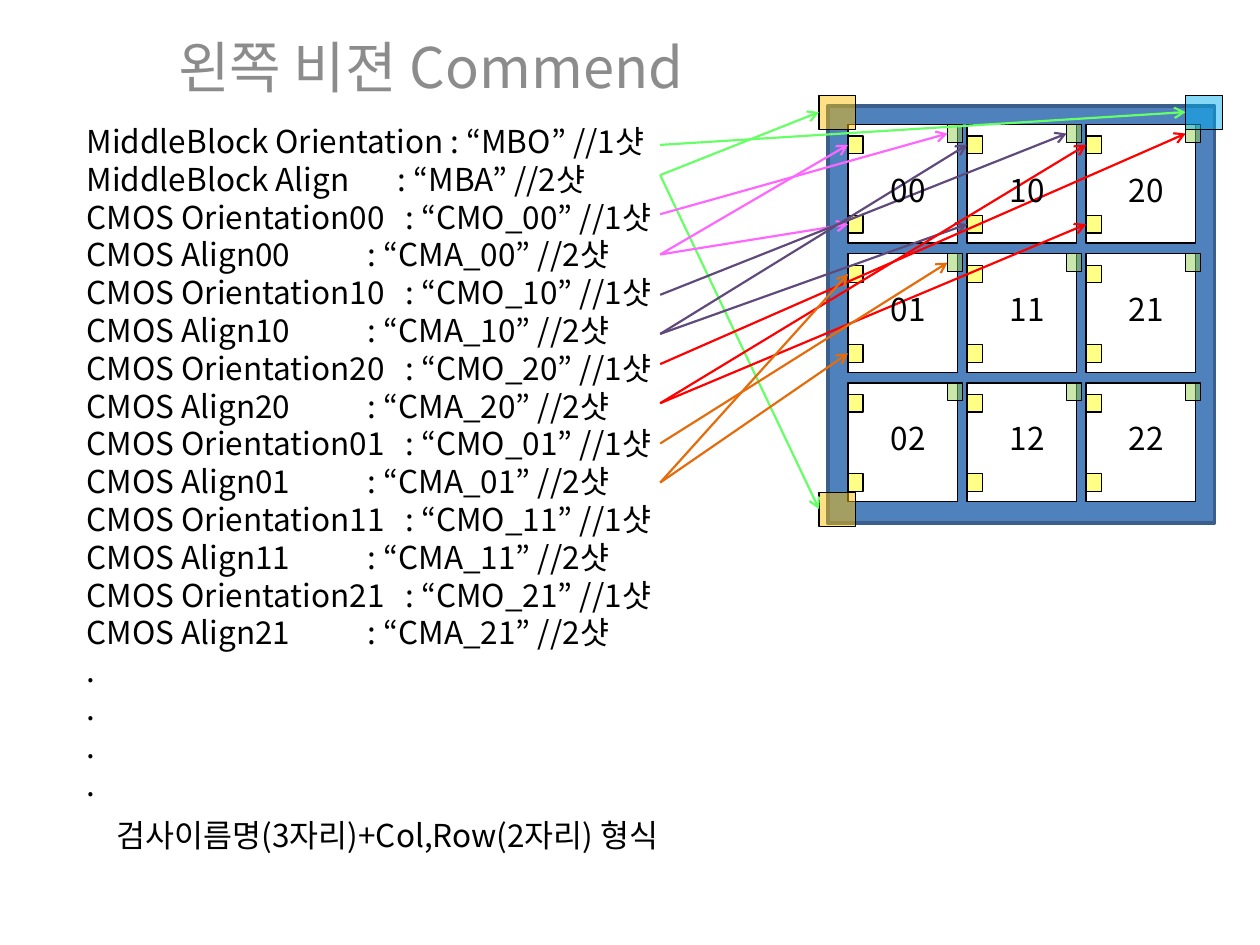
"""Builds the left vision command slide with its block diagram."""
from lxml.etree import SubElement
from pptx import Presentation
from pptx.dml.color import RGBColor
from pptx.enum.shapes import MSO_CONNECTOR, MSO_SHAPE
from pptx.enum.text import MSO_ANCHOR, PP_ALIGN
from pptx.oxml.ns import qn
from pptx.util import Inches, Pt

COLORS = {
    "title": "8C8C8C", "text": "000000", "outline": "000000",
    "block": "4F81BD", "block_edge": "3A5F8C", "cell": "FFFFFF",
    "align_mark": "FFFF00", "orient_mark": "92D050",
    "block_align": "FFC000", "block_orient": "00B0F0",
    "green": "66FF66", "pink": "FF66FF", "purple": "604A7B",
    "red": "FF0000", "orange": "E46C0A",
}


class VisionSlide:
    """Holds the text style and the slide being drawn."""

    font_name = "Noto Sans CJK KR"

    def __init__(self, slide):
        self.slide = slide

    def style(self, paragraph, size, color):
        font = paragraph.font
        font.name = self.font_name
        font.size = Pt(size)
        font.color.rgb = RGBColor.from_string(COLORS[color])
        SubElement(font._element, qn("a:ea"), typeface=self.font_name)
        paragraph.line_spacing = Pt(size * 1.2)

    def title(self, text, left, top, width, height):
        title = self.slide.shapes.title
        title.left, title.top = Inches(left), Inches(top)
        title.width, title.height = Inches(width), Inches(height)
        title.text_frame.text = text
        title.text_frame.vertical_anchor = MSO_ANCHOR.TOP
        heading = title.text_frame.paragraphs[0]
        heading.alignment = PP_ALIGN.CENTER
        self.style(heading, 32, "title")

    def text(self, lines, left, top, width, height, wrap=True):
        frame = self.slide.shapes.add_textbox(
            Inches(left), Inches(top), Inches(width), Inches(height)).text_frame
        frame.word_wrap = wrap
        for index, (line, tab) in enumerate(lines):
            paragraph = frame.paragraphs[0] if index == 0 else frame.add_paragraph()
            paragraph.text = line
            if tab:
                stops = SubElement(paragraph._p.get_or_add_pPr(), qn("a:tabLst"))
                SubElement(stops, qn("a:tab"), pos=str(Inches(tab)), algn="l")
            self.style(paragraph, 18, "text")

    def box(self, fill, left, top, width, height, line="outline", weight=0.75, alpha=None):
        box = self.slide.shapes.add_shape(
            MSO_SHAPE.RECTANGLE, Inches(left), Inches(top), Inches(width), Inches(height))
        box.shadow.inherit = False
        box.fill.solid()
        box.fill.fore_color.rgb = RGBColor.from_string(COLORS[fill])
        box.line.color.rgb = RGBColor.from_string(COLORS[line])
        box.line.width = Pt(weight)
        if alpha:
            color = box._element.spPr.find(qn("a:solidFill"))[0]
            SubElement(color, qn("a:alpha"), val=str(alpha * 1000))

    def arrow(self, color, start, end):
        arrow = self.slide.shapes.add_connector(
            MSO_CONNECTOR.STRAIGHT, *(Inches(value) for value in (*start, *end)))
        arrow.line.color.rgb = RGBColor.from_string(COLORS[color])
        arrow.line.width = Pt(1.25)
        SubElement(arrow.line._get_or_add_ln(), qn("a:tailEnd"), type="arrow")
        SubElement(arrow._element.spPr, qn("a:effectLst"))


def cell_origin(col, row):
    return 6.73 + 0.945 * col, 0.99 + 1.025 * row


presentation = Presentation()
presentation.slide_width, presentation.slide_height = Inches(10), Inches(7.5)
vision = VisionSlide(presentation.slides.add_slide(presentation.slide_layouts[5]))

vision.title("왼쪽 비젼 Commend", 0.35, 0.21, 6.14, 0.71)

commands = [("MiddleBlock Orientation : “MBO” //1샷", None),
            ("MiddleBlock Align\t: “MBA” //2샷", 2.47)]
for cell in ("00", "10", "20", "01", "11", "21"):
    commands += [(f"CMOS Orientation{cell}\t: “CMO_{cell}” //1샷", 2.53),
                 (f"CMOS Align{cell}\t: “CMA_{cell}” //2샷", 2.23)]
commands += [(".", None)] * 4
vision.text(commands, 0.59, 0.92, 4.88, 5.86)

vision.box("block", 6.57, 0.84, 3.07, 3.31, line="block_edge", weight=2)
cells = [(col, row) for row in range(3) for col in range(3)]
for col, row in cells:
    x, y = cell_origin(col, row)
    vision.box("cell", x, y, 0.87, 0.94)
    for fill, dx, dy in (("align_mark", 0, 0.09), ("align_mark", 0, 0.72),
                         ("orient_mark", 0.79, 0)):
        vision.box(fill, x + dx, y + dy, 0.12, 0.14, alpha=48)
for fill, left, top in (("block_align", 6.5, 0.76), ("block_align", 6.5, 3.91),
                        ("block_orient", 9.41, 0.76)):
    vision.box(fill, left, top, 0.29, 0.27, alpha=48)

arrow_left = 5.24
for start_y, end in ((1.39, (6.5, 0.89)), (1.39, (6.5, 4.04)), (1.15, (9.41, 0.89))):
    vision.arrow("green", (arrow_left, start_y), end)
for color, col, row, orient_y, align_y in (
        ("pink", 0, 0, 1.7, 2.02), ("purple", 1, 0, 2.34, 2.65),
        ("red", 2, 0, 2.89, 3.2), ("orange", 0, 1, 3.52, 3.83)):
    x, y = cell_origin(col, row)
    for start_y, dx, dy in ((orient_y, 0.79, 0.07), (align_y, 0, 0.16), (align_y, 0, 0.79)):
        vision.arrow(color, (arrow_left, start_y), (x + dx, y + dy))

vision.text([("검사이름명(3자리)+Col,Row(2자리) 형식", None)], 0.83, 6.43, 8.03, 0.4)
label_tops = (1.31, 2.25, 3.28)
for col, row in cells:
    vision.text([(f"{col}{row}", None)], cell_origin(col, row)[0] + 0.24,
                label_tops[row], 0.48, 0.4, wrap=False)

presentation.save("out.pptx")
